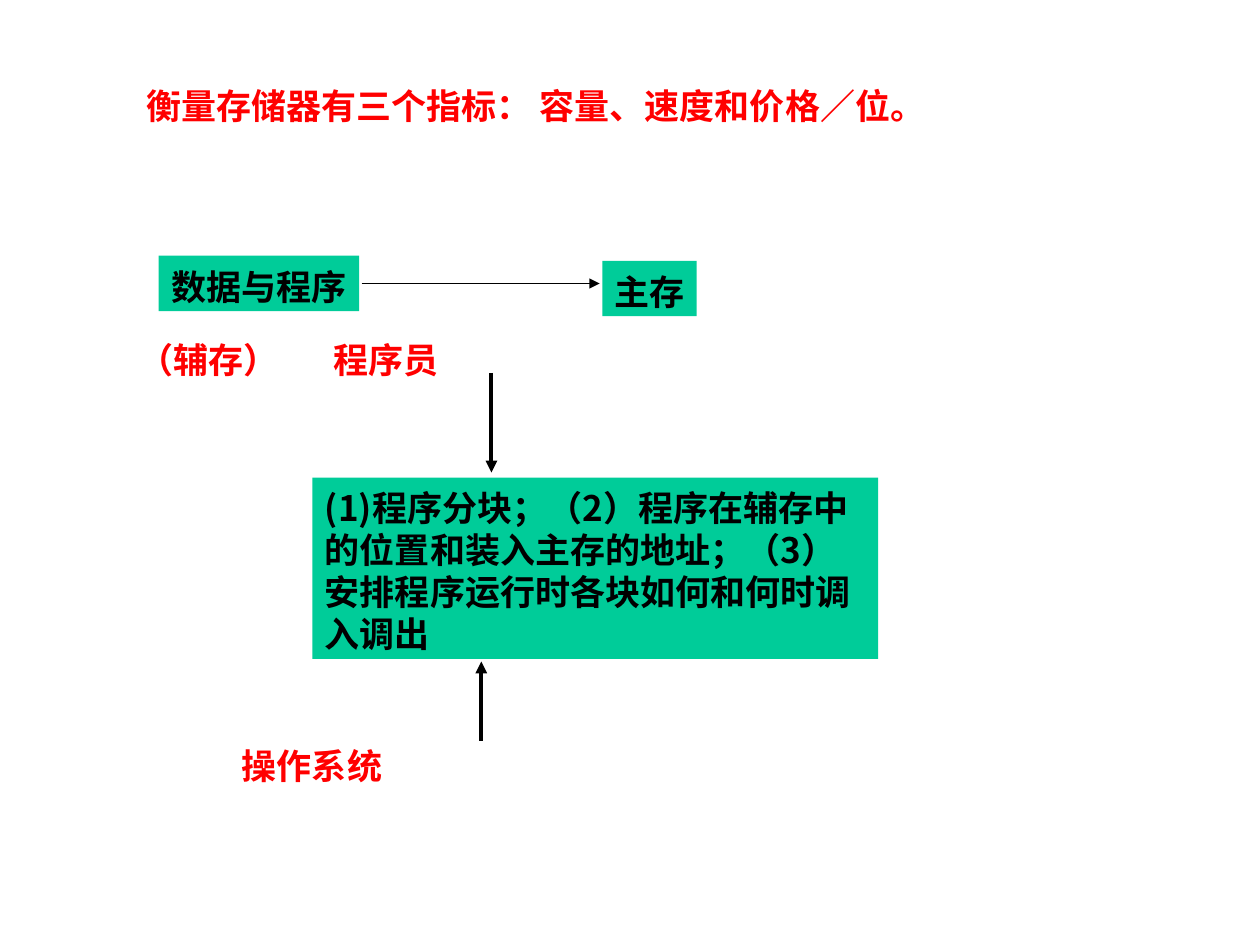
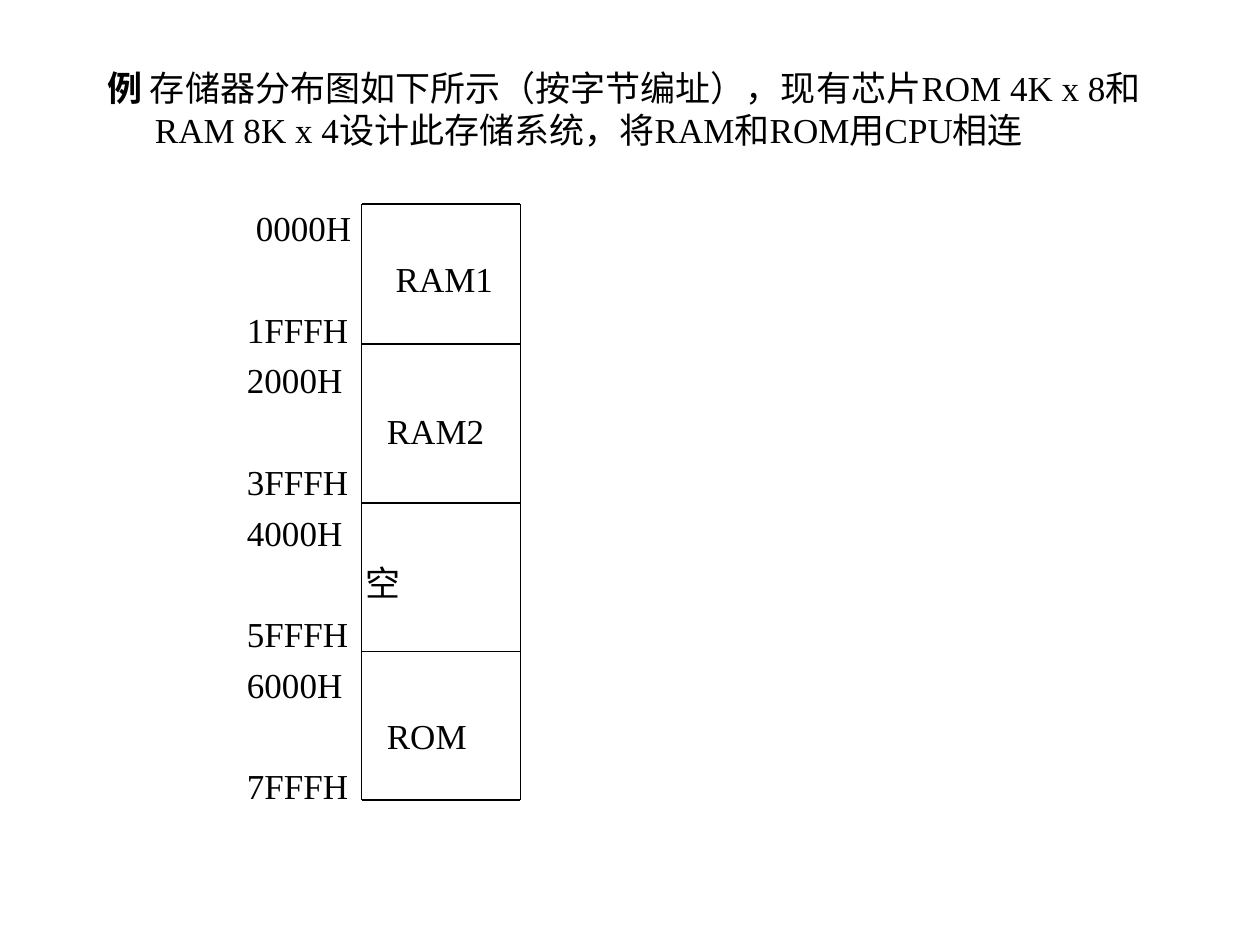
"""Build two slides on memory: the storage hierarchy and a memory map example."""
from pptx import Presentation
from pptx.dml.color import RGBColor
from pptx.enum.shapes import MSO_CONNECTOR, MSO_SHAPE
from pptx.enum.text import MSO_ANCHOR, PP_ALIGN
from pptx.oxml.ns import qn
from pptx.util import Inches, Pt
from lxml.etree import SubElement

COLORS = {"text": "000000", "accent": "FF0000", "box": "00CC99"}
SANS, SERIF = "Noto Sans CJK SC", "Times New Roman"
SIZE, LINE_HEIGHT = 20, 24

RED_LABELS = [
    ("衡量存储器有三个指标： 容量、速度和价格／位。", 1.16, 0.67, 6.3),
    ("（辅存）", 1.1, 2.69, 1.2),
    ("程序员", 2.65, 2.69, 0.9),
    ("操作系统", 1.92, 5.91, 1.2),
]
BOXES = [
    ("数据与程序", SERIF, PP_ALIGN.CENTER, False, (1.26, 2.03, 1.59, 0.44)),
    ("主存", SERIF, PP_ALIGN.CENTER, False, (4.78, 2.07, 0.75, 0.44)),
    ("(1)程序分块；（2）程序在辅存中的位置和装入主存的地址；"
     "（3）安排程序运行时各块如何和何时调入调出",
     SANS, PP_ALIGN.LEFT, True, (2.48, 3.79, 4.49, 1.44)),
]
ARROWS = [
    (2.87, 2.25, 4.76, 2.25, 0.75),
    (3.9, 2.96, 3.9, 3.75, 2.25),
    (3.82, 5.88, 3.82, 5.25, 2.25),
]

EXAMPLE = [
    ("例", True),
    (" 存储器分布图如下所示（按字节编址），现有芯片ROM 4K x 8"
     "和RAM 8K x 4设计此存储系统，将RAM和ROM用CPU相连", False),
]
REGIONS = [
    ("0000H", 2.03, "RAM1", 3.14, "1FFFH"),
    ("2000H", 1.96, "RAM2", 3.07, "3FFFH"),
    ("4000H", 1.96, "空", 2.9, "5FFFH"),
    ("6000H", 1.96, "ROM", 3.07, "7FFFH"),
]
END_LABEL_X = 1.96
FIRST_ROW, LAST_ROW = 1.64, 6.07
MAP_LEFT, MAP_RIGHT = 2.87, 4.13
MAP_EDGES = [1.62, 2.73, 3.99, 5.17, 6.35]


def write(tf, runs, font, color="text", align=PP_ALIGN.LEFT, hanging=0):
    p = tf.paragraphs[0]
    p.alignment = align
    p.line_spacing = Pt(LINE_HEIGHT)
    if hanging:
        pPr = p._p.get_or_add_pPr()
        pPr.set("marL", str(Inches(hanging)))
        pPr.set("indent", str(-Inches(hanging)))
    for text, bold in runs:
        r = p.add_run()
        r.text = text
        r.font.name, r.font.size, r.font.bold = font, Pt(SIZE), bold
        r.font.color.rgb = RGBColor.from_string(COLORS[color])
        ea = SubElement(r._r.rPr, qn("a:ea"))
        ea.set("typeface", SANS)


def set_margins(tf, left, top, right, bottom):
    tf.margin_left, tf.margin_top = Inches(left), Inches(top)
    tf.margin_right, tf.margin_bottom = Inches(right), Inches(bottom)


def add_text(s, runs, x, y, w, h=0.34, wrap=False, **style):
    tf = s.shapes.add_textbox(Inches(x), Inches(y), Inches(w), Inches(h)).text_frame
    set_margins(tf, 0, 0, 0, 0)
    tf.word_wrap = wrap
    write(tf, runs, **style)


def add_box(s, text, font, align, wrap, place):
    sp = s.shapes.add_shape(MSO_SHAPE.RECTANGLE, *map(Inches, place))
    sp.shadow.inherit = False
    sp.fill.solid()
    sp.fill.fore_color.rgb = RGBColor.from_string(COLORS["box"])
    sp.line.fill.background()
    tf = sp.text_frame
    set_margins(tf, 0.1, 0.07, 0.1, 0.03)
    tf.vertical_anchor = MSO_ANCHOR.MIDDLE
    tf.word_wrap = wrap
    write(tf, [(text, True)], font, align=align)


def add_line(s, x1, y1, x2, y2, width=1, arrow=False):
    line = s.shapes.add_connector(MSO_CONNECTOR.STRAIGHT, *map(Inches, (x1, y1, x2, y2)))
    line.line.color.rgb = RGBColor.from_string(COLORS["text"])
    line.line.width = Pt(width)
    if arrow:
        SubElement(line.line._get_or_add_ln(), qn("a:tailEnd")).set("type", "triangle")
    SubElement(line._element.spPr, qn("a:effectLst"))


def build_hierarchy(s):
    for text, x, y, w in RED_LABELS:
        add_text(s, [(text, True)], x, y, w, font=SANS, color="accent")
    for box in BOXES:
        add_box(s, *box)
    for arrow in ARROWS:
        add_line(s, *arrow, arrow=True)


def build_memory_map(s):
    add_text(s, EXAMPLE, 0.85, 0.53, 8.23, 0.67, wrap=True, font=SERIF, hanging=0.38)
    row = (LAST_ROW - FIRST_ROW) / (3 * len(REGIONS) - 1)
    for i, (start, start_x, name, name_x, end) in enumerate(REGIONS):
        labels = [(start, start_x), (name, name_x), (end, END_LABEL_X)]
        for j, (text, x) in enumerate(labels):
            y = FIRST_ROW + (3 * i + j) * row
            add_text(s, [(text, False)], x, y, 0.85, font=SERIF)
    for x in (MAP_LEFT, MAP_RIGHT):
        add_line(s, x, MAP_EDGES[0], x, MAP_EDGES[-1])
    for y in MAP_EDGES:
        add_line(s, MAP_LEFT, y, MAP_RIGHT, y)


def main():
    prs = Presentation()
    prs.slide_width, prs.slide_height = Inches(10), Inches(7.5)
    for build in (build_hierarchy, build_memory_map):
        build(prs.slides.add_slide(prs.slide_layouts[6]))
    prs.save("out.pptx")


if __name__ == "__main__":
    main()
